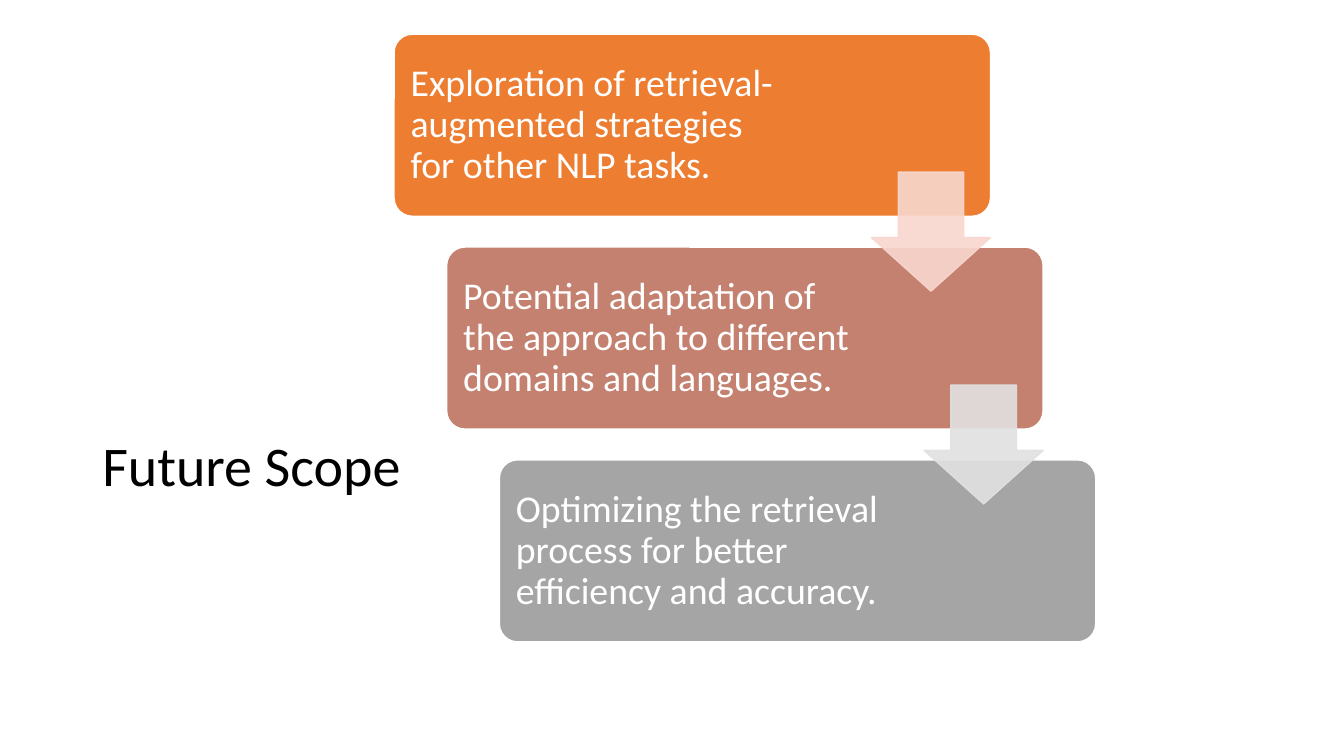
"""Build the Future Scope slide: three stepped boxes joined by down arrows."""
from lxml import etree
from pptx import Presentation
from pptx.dml.color import RGBColor
from pptx.enum import shapes, text
from pptx.oxml.ns import qn
from pptx.util import Pt

COLORS = {
    "black": "000000", "white": "FFFFFF",
    "orange": "ED7D31", "rose": "C48170", "gray": "A5A5A5",
    "pale_rose": "F8D7CE", "pale_gray": "E1E1E1",
}
STEPS = [
    ("Exploration of retrieval-augmented strategies for other NLP tasks.", "orange", 285),
    ("Potential adaptation of the approach to different domains and languages.", "rose", 296),
    ("Optimizing the retrieval process for better efficiency and accuracy.", "gray", 296),
]
ARROWS = ["pale_rose", "pale_gray"]
BOX_LEFT, BOX_TOP, BOX_WIDTH, BOX_HEIGHT = 281.5, 24.5, 426, 130
ARROW_LEFT, ARROW_TOP, ARROW_SIZE = 622.5, 123, 85
STEP_X, STEP_Y = 37.6, 152
TEXT_INSET = 3.8


def add_text(s, content, box, size, color, anchor, margins, space_after=0):
    tf = s.shapes.add_textbox(*map(Pt, box)).text_frame
    tf.word_wrap = True
    tf.vertical_anchor = anchor
    tf.margin_left, tf.margin_top, tf.margin_right, tf.margin_bottom = map(Pt, margins)
    p = tf.paragraphs[0]
    p.text = content
    p.line_spacing = 0.9
    p.space_after = Pt(space_after)
    p.font.name = "Calibri"
    p.font.size = Pt(size)
    p.font.color.rgb = RGBColor.from_string(COLORS[color])


def add_shape(s, kind, box, adjustments, fill, line):
    sp = s.shapes.add_shape(kind, *map(Pt, box))
    sp.shadow.inherit = False
    for i, value in enumerate(adjustments):
        sp.adjustments[i] = value
    sp.fill.solid()
    sp.fill.fore_color.rgb = RGBColor.from_string(COLORS[fill])
    sp.line.color.rgb = RGBColor.from_string(COLORS[line])
    sp.line.width = Pt(1)
    return sp


def add_step(s, index, content, color, text_width):
    left, top = BOX_LEFT + index * STEP_X, BOX_TOP + index * STEP_Y
    add_shape(s, shapes.MSO_SHAPE.ROUNDED_RECTANGLE,
              (left, top, BOX_WIDTH, BOX_HEIGHT), [0.1], color, "white")
    text_box = (left + TEXT_INSET, top + TEXT_INSET, text_width, BOX_HEIGHT - 2 * TEXT_INSET)
    add_text(s, content, text_box, 27, "white", text.MSO_ANCHOR.MIDDLE, [8] * 4, 9.45)


def add_arrow(s, index, color):
    box = (ARROW_LEFT + index * STEP_X, ARROW_TOP + index * STEP_Y, ARROW_SIZE, ARROW_SIZE)
    sp = add_shape(s, shapes.MSO_SHAPE.DOWN_ARROW, box, [0.55, 0.45], color, color)
    for rgb in sp.element.spPr.iter(qn("a:srgbClr")):
        etree.SubElement(rgb, qn("a:alpha")).set("val", "90000")


def main():
    prs = Presentation()
    prs.slide_width, prs.slide_height = Pt(960), Pt(540)
    s = prs.slides.add_slide(prs.slide_layouts[6])
    add_text(s, "Future Scope", (66, 135, 828, 224.5), 40, "black",
             text.MSO_ANCHOR.BOTTOM, [7.2, 3.6, 7.2, 3.6])
    for i, (content, color, text_width) in enumerate(STEPS):
        add_step(s, i, content, color, text_width)
    for i, color in enumerate(ARROWS):
        add_arrow(s, i, color)
    prs.save("out.pptx")


if __name__ == "__main__":
    main()
